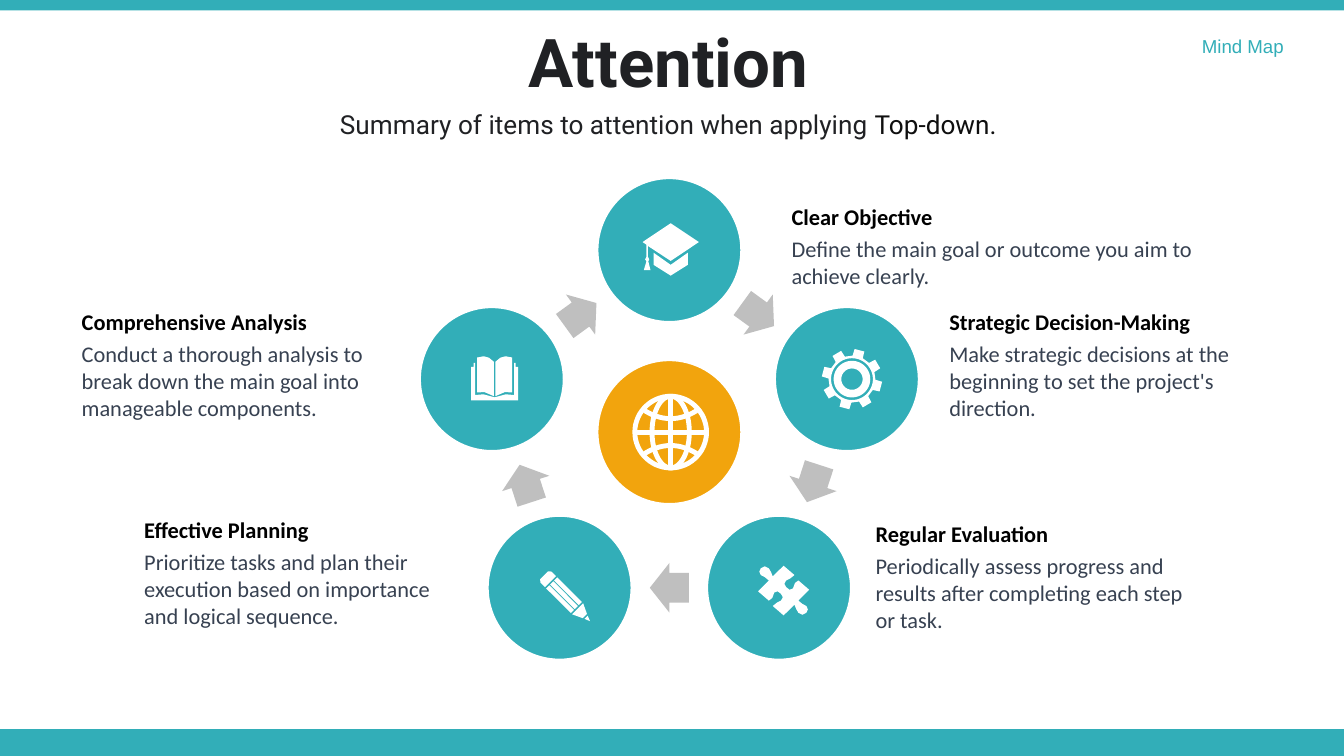
import math
from dataclasses import dataclass
from typing import NamedTuple

import pptx
import pptx.dml.color
import pptx.enum.shapes
import pptx.enum.text
import pptx.util

Pt = pptx.util.Pt
Shapes = pptx.enum.shapes.MSO_SHAPE
Align = pptx.enum.text.PP_ALIGN


class Point(NamedTuple):
    x: float
    y: float


@dataclass(frozen=True)
class Theme:
    teal: str = "32AEB8"
    orange: str = "F2A40D"
    gray: str = "BFBFBF"
    white: str = "FFFFFF"
    heading: str = "202124"
    accent: str = "0F0F0F"
    black: str = "000000"
    body: str = "374151"
    title_size: float = 36
    subtitle_size: float = 14
    text_size: float = 12
    tag_size: float = 10


@dataclass(frozen=True)
class Style:
    font: str
    size: float
    color: str
    bold: bool = False
    align: Align = Align.LEFT


@dataclass(frozen=True)
class Topic:
    title: str
    detail: str
    left: float
    top: float
    width: float = 183


@dataclass(frozen=True)
class Icon:
    contours: list
    offset: Point
    rotation: float = 0
    stroke: float = 0


theme = Theme()
PAGE = Point(720, 405)
RING = Point(358.6, 234)
HUB = Point(358.6, 231.5)
RING_RADIUS = 100
DISC_SIZE = 78
STEP = 72


def polar(center: Point, radius: float, degrees: float) -> Point:
    angle = math.radians(degrees)
    return Point(center.x + radius * math.sin(angle), center.y - radius * math.cos(angle))


def ellipse(radius_x: float, radius_y: float) -> list:
    angles = [math.radians(degrees) for degrees in range(0, 360, 6)]
    return [(radius_x * math.cos(angle), radius_y * math.sin(angle)) for angle in angles]


def mirrored(points: list) -> list:
    return [(-x, y) for x, y in points]


def rgb(color: str) -> pptx.dml.color.RGBColor:
    return pptx.dml.color.RGBColor.from_string(color)


def paint(shape, color: str) -> None:
    shape.shadow.inherit = False
    shape.fill.solid()
    shape.fill.fore_color.rgb = rgb(color)
    shape.line.fill.background()


def add_centered(page, kind: Shapes, center: Point, width: float, height: float, color: str):
    shape = page.shapes.add_shape(
        kind, Pt(center.x - width / 2), Pt(center.y - height / 2), Pt(width), Pt(height))
    paint(shape, color)
    return shape


def add_disc(page, center: Point, color: str) -> None:
    disc = add_centered(page, Shapes.OVAL, center, DISC_SIZE, DISC_SIZE, color)
    disc.line.color.rgb = rgb(theme.white)
    disc.line.width = Pt(2)


def add_arrow(page, center: Point, rotation: float) -> None:
    arrow = add_centered(page, Shapes.RIGHT_ARROW, center, 21, 26.6, theme.gray)
    arrow.adjustments[0] = 0.6
    arrow.adjustments[1] = 0.5
    arrow.rotation = rotation


def add_icon(page, disc: Point, icon: Icon) -> None:
    center = Point(disc.x + icon.offset.x, disc.y + icon.offset.y)
    outlines = [[(Pt(center.x + x), Pt(center.y + y)) for x, y in contour]
                for contour in icon.contours]
    builder = page.shapes.build_freeform(*outlines[0][0])
    for index, outline in enumerate(outlines):
        if index:
            builder.move_to(*outline[0])
        builder.add_line_segments(outline[1:], close=len(outline) > 2 and not (
            icon.stroke and outline[0][0] != outline[-1][0] and len(outline) < 20))
    shape = builder.convert_to_shape()
    paint(shape, theme.white)
    shape.rotation = icon.rotation
    if icon.stroke:
        shape.fill.background()
        shape.line.color.rgb = rgb(theme.white)
        shape.line.width = Pt(icon.stroke)


def add_text(page, text: str, left: float, top: float, width: float, height: float,
             style: Style, middle: bool = False):
    box = page.shapes.add_textbox(Pt(left), Pt(top), Pt(width), Pt(height))
    box.text_frame.word_wrap = True
    if middle:
        box.text_frame.vertical_anchor = pptx.enum.text.MSO_ANCHOR.MIDDLE
    para = box.text_frame.paragraphs[0]
    para.alignment = style.align
    para.font.name = style.font
    para.font.size = Pt(style.size)
    para.font.bold = style.bold
    para.font.color.rgb = rgb(style.color)
    para.add_run().text = text
    return para


def add_topic(page, topic: Topic) -> None:
    add_text(page, topic.detail, topic.left, topic.top + 17.3, topic.width, 51,
             Style("Calibri", theme.text_size, theme.body))
    add_text(page, topic.title, topic.left, topic.top, topic.width, 21.6,
             Style("Calibri", theme.text_size, theme.black, bold=True))


CAP = Icon([
    [(0, -14.4), (-15.1, -4.3), (-13, -2.9), (-13, 3.6), (-13.7, 5), (-13, 6), (-14.4, 10.8),
     (-10.8, 10.8), (-12, 6), (-11.5, 5), (-12.2, 3.6), (-12.2, -2.2), (0, 5.8), (15.1, -4.3)],
    [(9.2, 1.4), (0, 7.9), (-9.2, 1.4), (-9.2, 7.9), (0, 13.7), (9.2, 7.9)],
], Point(0.7, 0))

gear_rim = [polar(Point(0, 0), radius, 14.5 + 45 * tooth + turn) for tooth in range(8)
            for radius, turn in ((12.6, -13), (16.2, -9.5), (16.2, 9.5), (12.6, 13))]
GEAR = Icon([gear_rim, ellipse(11.2, 11.2), ellipse(9.8, 9.8), ellipse(5.7, 5.7)], Point(2.7, 0))

puzzle_half = [
    (0, -13.3), (-5.8, -7.6), (-6.8, -10), (-7.9, -11.9), (-10.1, -13), (-12.2, -11.9),
    (-13, -10.1), (-12.2, -8.3), (-10.1, -7.2), (-7.9, -5.4), (-13.7, 0.4), (-7.9, 5.4),
    (-6.1, 4), (-5, 1.1), (-3.2, 0.4), (-1.4, 1.8), (-0.4, 3.6), (-1.4, 5.4), (-3.6, 6.5),
    (-5.8, 8.3)]
PUZZLE = Icon([puzzle_half + [(-x, -y) for x, y in puzzle_half]], Point(2.4, 1.5))

pencil_strips = [[(x - 1.2, -11.6), (x + 1.2, -11.6), (x + 1.2, 7), (x - 1.2, 7)]
                 for x in (-3, 0, 3)]
PENCIL = Icon(pencil_strips + [
    [(-4.2, -12.5), (-4.2, -16), (-3, -17.4), (3, -17.4), (4.2, -16), (4.2, -12.5)],
    [(-4.2, 8), (4.2, 8), (1.6, 13.5), (-1.6, 13.5)],
    [(-1.2, 14.4), (1.2, 14.4), (0, 17.4)],
], Point(4, 5.6), rotation=315)

book_half = [
    [(0.4, -9.2), (3, -11.4), (5.8, -12.2), (9.4, -11.5), (9.4, 7.2), (5.5, 7), (0.4, 9.2)],
    [(12.6, -6.5), (12.6, 11.5), (0, 11.5), (0, 9.8), (6, 8.2), (10.4, 8.6), (10.4, -8.6),
     (11.3, -8.6), (11.3, -6.5)]]
BOOK = Icon(book_half + [mirrored(contour) for contour in book_half], Point(1.5, 0))

parallels = [[(x, side * (7.2 + 4.3 * (x / 14) ** 2)) for x in range(-14, 15, 2)]
             for side in (-1, 1)]
GLOBE = Icon([ellipse(19.2, 19.2), ellipse(10, 19.2), [(0, -19.2), (0, 19.2)],
              [(-19.2, 0), (19.2, 0)]] + parallels, Point(0.7, 0), stroke=2.6)

TOPICS = [
    Topic("Clear Objective", "Define the main goal or outcome you aim to achieve clearly.",
          417, 105.3, 266.4),
    Topic("Strategic Decision-Making", "Make strategic decisions at the beginning to set "
          "the project's direction.", 501.5, 161.3),
    Topic("Regular Evaluation", "Periodically assess progress and results after completing "
          "each step or task.", 462, 275),
    Topic("Effective Planning", "Prioritize tasks and plan their execution based on "
          "importance and logical sequence.", 70.2, 272.9),
    Topic("Comprehensive Analysis", "Conduct a thorough analysis to break down the main goal "
          "into manageable components.", 36.7, 161.3),
]


def main() -> None:
    deck = pptx.Presentation()
    deck.slide_width, deck.slide_height = Pt(PAGE.x), Pt(PAGE.y)
    page = deck.slides.add_slide(deck.slide_layouts[6])

    for top, height in ((390.6, 14.4), (0, 5.6)):
        band_center = Point(PAGE.x / 2, top + height / 2)
        add_centered(page, Shapes.RECTANGLE, band_center, PAGE.x, height, theme.teal)

    add_text(page, "Attention", 0, 10, 716, 45.4,
             Style("Roboto", theme.title_size, theme.heading, True, Align.CENTER), middle=True)
    subtitle = add_text(page, "Summary of items to attention when applying ", 0, 55.4, 716, 22.3,
                        Style("Roboto", theme.subtitle_size, theme.heading, align=Align.CENTER),
                        middle=True)
    span = subtitle.add_run()
    span.text = "Top-down."
    span.font.color.rgb = rgb(theme.accent)
    add_text(page, "Mind Map", 604, 15.1, 90.7, 19.4,
             Style("Arial", theme.tag_size, theme.teal, align=Align.RIGHT))

    apothem = RING_RADIUS * math.cos(math.radians(STEP / 2))
    for index, (topic, icon) in enumerate(zip(TOPICS, (CAP, GEAR, PUZZLE, PENCIL, BOOK))):
        disc = polar(RING, RING_RADIUS, STEP * index)
        turn = STEP * index + STEP / 2
        add_disc(page, disc, theme.teal)
        add_arrow(page, polar(RING, apothem, turn), turn)
        add_icon(page, disc, icon)
        add_topic(page, topic)

    add_disc(page, HUB, theme.orange)
    add_icon(page, HUB, GLOBE)
    deck.save("out.pptx")


if __name__ == "__main__":
    main()
